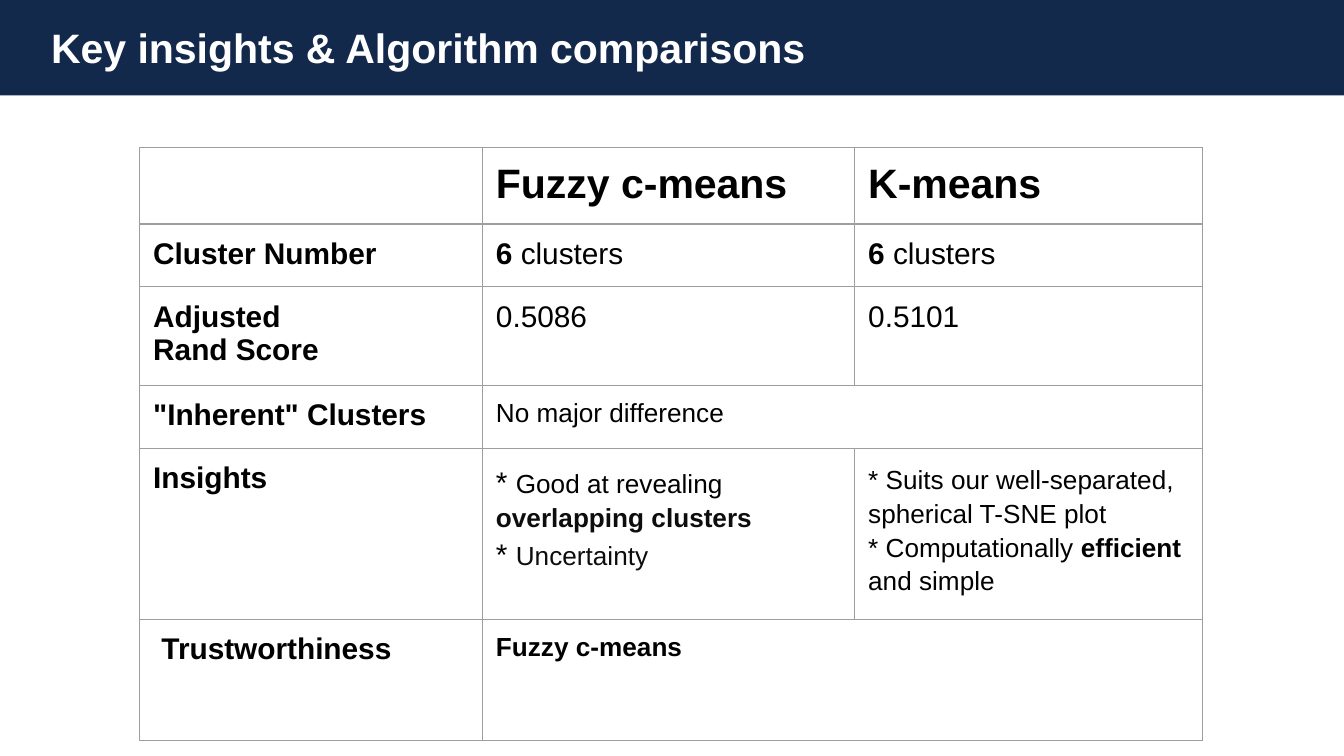
from dataclasses import dataclass

from lxml import etree
from pptx import Presentation
from pptx import util as u
from pptx.dml.color import RGBColor
from pptx.enum import shapes, text
from pptx.oxml.ns import qn

HUES = {"navy": "13294B", "white": "FFFFFF", "black": "000000",
        "ink": "0D0D0D", "rule": "9E9E9E"}
FONT = "Arial"
WIDTH = u.Inches(10)
HEIGHT = WIDTH * 9 // 16
COLS = [2.55, 2.77, 2.59]
ROWS = [0.54, 0.45, 0.7, 0.45, 1.26, 0.9]


@dataclass
class Run:
    words: str
    size: float = 16
    bold: bool = False
    hue: str = "black"


@dataclass
class Cell:
    row: int
    col: int
    lines: list[list[Run]]
    space: float = 1.0
    span: int = 1


def head(row: int, *names: str, size: float = 16) -> list[Cell]:
    return [Cell(row, i, [[Run(n, size, True)]]) for i, n in enumerate(names) if n]


CELLS = [
    *head(0, "", "Fuzzy c-means", "K-means", size=22),
    *head(1, "Cluster Number"),
    *[Cell(1, c, [[Run("6", bold=True), Run(" clusters")]]) for c in (1, 2)],
    Cell(2, 0, [[Run("Adjusted", bold=True)], [Run("Rand Score", bold=True)]]),
    Cell(2, 1, [[Run("0.5086")]]),
    Cell(2, 2, [[Run("0.5101")]]),
    *head(3, '"Inherent" Clusters'),
    Cell(3, 1, [[Run("No major difference", 14)]], span=2),
    *head(4, "Insights"),
    Cell(4, 1, [
        [Run("* "), Run("Good at revealing ", 14),
         Run("overlapping clusters", 14, True, "ink")],
        [Run("* "), Run("Uncertainty", 14, hue="ink")],
    ], space=1.15),
    Cell(4, 2, [
        [Run("* Suits our well-separated, spherical T-SNE plot", 14)],
        [Run("* Computationally ", 14), Run("efficient", 14, True),
         Run(" and simple", 14)],
    ], space=1.15),
    *head(5, " Trustworthiness"),
    Cell(5, 1, [[Run("Fuzzy c-means", 14, True)]], span=2),
]


def color(name: str) -> RGBColor:
    return RGBColor.from_string(HUES[name])


def write(para, words: str, *, size: float = 16, bold: bool = False,
          hue: str = "black") -> None:
    run = para.add_run()
    run.text = words
    run.font.name = FONT
    run.font.size = u.Pt(size)
    run.font.bold = bold
    run.font.color.rgb = color(hue)


def border(cell) -> None:
    props = cell._tc.get_or_add_tcPr()
    for i, side in enumerate(("lnL", "lnR", "lnT", "lnB")):
        line = etree.Element(qn(f"a:{side}"), w=str(u.Pt(0.75)))
        fill = etree.SubElement(line, qn("a:solidFill"))
        etree.SubElement(fill, qn("a:srgbClr"), val=HUES["rule"])
        props.insert(i, line)


def banner(slide) -> None:
    band = slide.shapes.add_shape(shapes.MSO_SHAPE.RECTANGLE, 0, 0,
                                  WIDTH, u.Inches(0.71))
    band.shadow.inherit = False
    band.fill.solid()
    band.fill.fore_color.rgb = color("navy")
    band.line.fill.background()
    slide.shapes._spTree.insert(2, band._element)

    title = slide.shapes.title
    title.left, title.top = u.Inches(0.31), u.Inches(0.13)
    title.width, title.height = u.Inches(8.95), u.Inches(0.45)
    frame = title.text_frame
    frame.word_wrap = True
    frame.auto_size = text.MSO_AUTO_SIZE.SHAPE_TO_FIT_TEXT
    frame.vertical_anchor = text.MSO_ANCHOR.TOP
    frame.margin_left = frame.margin_right = u.Inches(0.07)
    frame.margin_top = frame.margin_bottom = u.Inches(0.04)
    para = frame.paragraphs[0]
    para.alignment = text.PP_ALIGN.LEFT
    write(para, "Key insights & Algorithm comparisons",
          size=22, bold=True, hue="white")


def fill_cell(grid, item: Cell) -> None:
    cell = grid.cell(item.row, item.col)
    if item.span > 1:
        cell.merge(grid.cell(item.row, item.col + item.span - 1))
    frame = cell.text_frame
    for i, line in enumerate(item.lines):
        para = frame.add_paragraph() if i else frame.paragraphs[0]
        para.line_spacing = item.space
        for run in line:
            write(para, run.words, size=run.size, bold=run.bold, hue=run.hue)


def compare(slide) -> None:
    grid = slide.shapes.add_table(
        len(ROWS), len(COLS), u.Inches(1.04), u.Inches(1.1),
        u.Inches(sum(COLS)), u.Inches(sum(ROWS))).table
    grid.first_row = grid.horz_banding = False
    for col, width in zip(grid.columns, COLS):
        col.width = u.Inches(width)
    for row, height in zip(grid.rows, ROWS):
        row.height = u.Inches(height)
    for cell in grid.iter_cells():
        cell.margin_left = cell.margin_right = u.Inches(0.1)
        cell.margin_top = cell.margin_bottom = u.Inches(0.1)
        cell.fill.background()
        border(cell)
    for item in CELLS:
        fill_cell(grid, item)


def main() -> None:
    deck = Presentation()
    deck.slide_width, deck.slide_height = WIDTH, HEIGHT
    slide = deck.slides.add_slide(deck.slide_layouts[5])
    banner(slide)
    compare(slide)
    deck.save("out.pptx")


if __name__ == "__main__":
    main()
